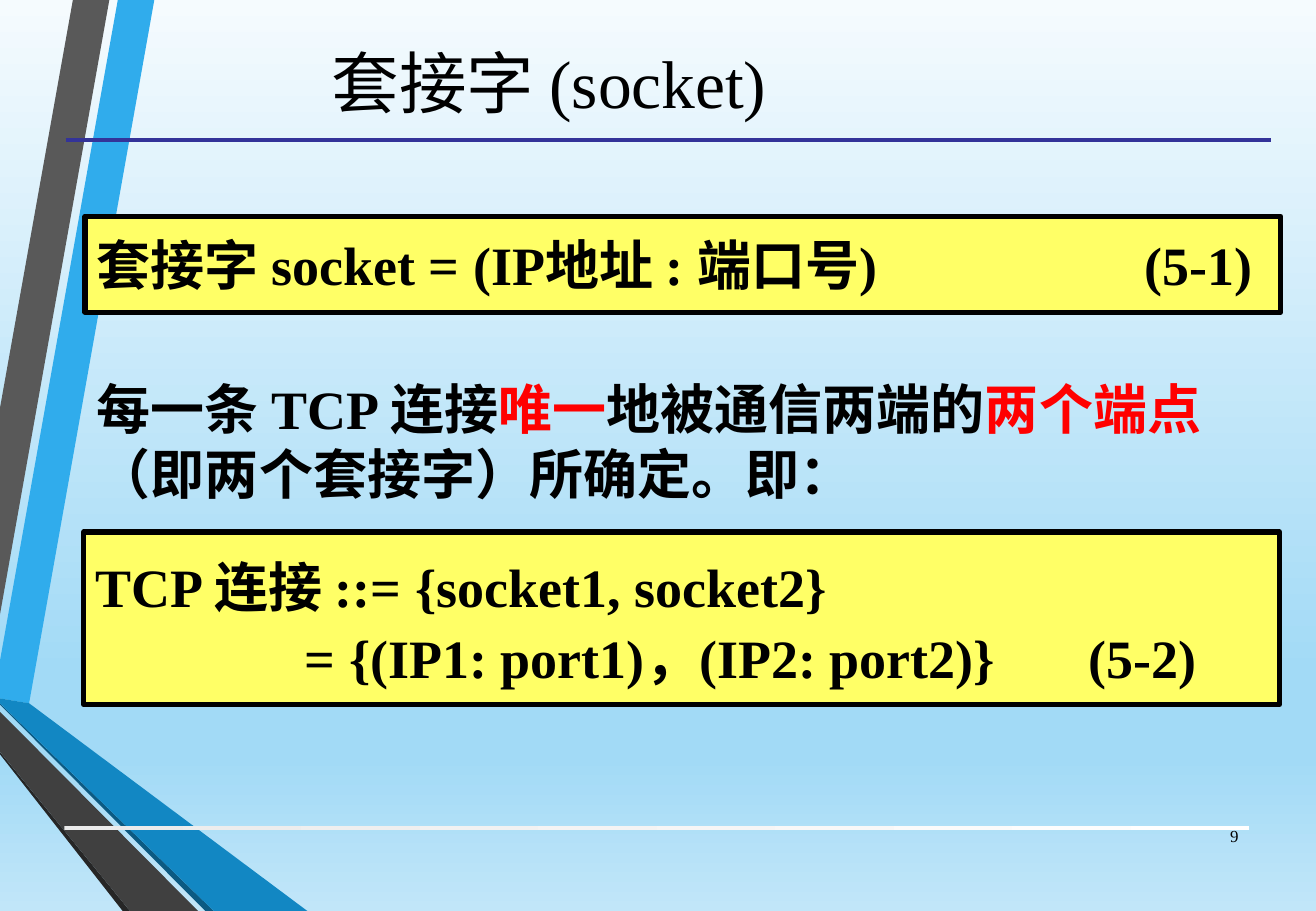
from dataclasses import dataclass

from lxml.etree import SubElement
from pptx import Presentation
from pptx.dml.color import RGBColor
from pptx.dml.fill import FillFormat
from pptx.enum.shapes import MSO_CONNECTOR, MSO_SHAPE
from pptx.enum.text import MSO_ANCHOR, PP_ALIGN
from pptx.oxml.ns import qn
from pptx.shapes.autoshape import Shape
from pptx.slide import Slide
from pptx.text.text import TextFrame
from pptx.util import Inches, Pt


@dataclass(frozen=True)
class Theme:
    font: str = "Times New Roman"
    title_size: int = 40
    body_size: int = 32
    number_size: int = 10
    ink: str = "000000"
    accent: str = "FF0000"
    formula: str = "FFFF66"
    rule: str = "333399"
    sky: tuple = ((0, "F5FBFE"), (74, "A2DAF6"), (83, "A2DAF6"), (100, "C1E6F9"))
    footer: tuple = ((0, "EBEBEB"), (100, "FFFFFF"))


@dataclass(frozen=True)
class Ribbon:
    color: str
    points: tuple[tuple[float, float], ...]


@dataclass(frozen=True)
class Span:
    text: str
    color: str


@dataclass(frozen=True)
class Formula:
    box: tuple[float, float, float, float]
    lines: tuple[str, ...]
    tabs: tuple[float, ...]
    spacing: float


THEME = Theme()

RIBBONS = (
    Ribbon("30ACEC", ((0, 5.44), (0, 5.75), (0.24, 5.79), (1.27, 0), (0.97, 0))),
    Ribbon("595959", ((0.9, 0), (0.6, 0), (0, 3.36), (0, 5.06))),
    Ribbon("262626", ((0, 6.19), (0, 6.21), (1.01, 7.5), (1.07, 7.5))),
    Ribbon("0C5A82", ((0, 5.79), (0, 5.8), (1.69, 7.5), (1.76, 7.5))),
    Ribbon("1287C3", ((0, 5.79), (1.76, 7.5), (2.53, 7.5), (0.24, 5.79), (0, 5.75))),
    Ribbon("404040", ((0, 6.19), (1.07, 7.5), (1.63, 7.5), (0, 5.86))),
)

FORMULAS = (
    Formula((0.69, 4.38, 9.84, 1.42),
            ("TCP 连接 ::= {socket1, socket2}",
             "\t= {(IP1: port1)，(IP2: port2)}\t(5-2)"),
            (1.72, 8.17), 1.1),
    Formula((0.7, 1.78, 9.84, 0.79),
            ("套接字 socket = (IP地址 : 端口号)\t(5-1)",), (8.62,), 1.0),
)

STATEMENT = (
    Span("每一条 TCP 连接", THEME.ink),
    Span("唯一", THEME.accent),
    Span("地被通信两端的", THEME.ink),
    Span("两个端点", THEME.accent),
    Span("（即两个套接字）所确定。即：", THEME.ink),
)


def paint_gradient(fill: FillFormat, owner, stops: tuple, angle: int) -> None:
    """Fill with the given colour stops at a counter-clockwise angle."""
    fill.gradient()
    fill.gradient_angle = angle
    stop_list = next(owner.iter(qn("a:gsLst")))
    for old_stop in list(stop_list):
        stop_list.remove(old_stop)
    for percent, color in stops:
        stop = SubElement(stop_list, qn("a:gs"), pos=str(percent * 1000))
        SubElement(stop, qn("a:srgbClr"), val=color)


def write(frame: TextFrame, lines: tuple[tuple[Span, ...], ...], *, size: int,
          bold: bool = False, align: PP_ALIGN = PP_ALIGN.LEFT,
          anchor: MSO_ANCHOR = MSO_ANCHOR.MIDDLE, spacing: float = 1.0,
          tabs: tuple[float, ...] = ()) -> None:
    """Write lines of coloured spans into a text frame."""
    frame.word_wrap = True
    frame.vertical_anchor = anchor
    for index, spans in enumerate(lines):
        paragraph = frame.add_paragraph() if index else frame.paragraphs[0]
        paragraph.alignment = align
        paragraph.line_spacing = spacing
        if tabs:
            tab_list = SubElement(paragraph._p.get_or_add_pPr(), qn("a:tabLst"))
            for position in tabs:
                SubElement(tab_list, qn("a:tab"), pos=str(Inches(position)), algn="l")
        for span in spans:
            run = paragraph.add_run()
            run.text = span.text
            run.font.name = THEME.font
            run.font.size = Pt(size)
            run.font.bold = bold
            run.font.color.rgb = RGBColor.from_string(span.color)


def add_text(slide: Slide, box: tuple, spans: tuple[Span, ...], **style) -> None:
    """Add a text box holding one paragraph."""
    write(slide.shapes.add_textbox(*map(Inches, box)).text_frame, (spans,), **style)


def add_ribbon(slide: Slide, ribbon: Ribbon) -> None:
    """Draw one folded ribbon outline."""
    start, *rest = [(Inches(x), Inches(y)) for x, y in ribbon.points]
    builder = slide.shapes.build_freeform(*start)
    builder.add_line_segments(rest, close=True)
    band = builder.convert_to_shape()
    band.shadow.inherit = False
    band.fill.solid()
    band.fill.fore_color.rgb = RGBColor.from_string(ribbon.color)
    band.line.fill.background()


def add_rectangle(slide: Slide, box: tuple) -> Shape:
    """Add a rectangle without a shadow."""
    rectangle = slide.shapes.add_shape(MSO_SHAPE.RECTANGLE, *map(Inches, box))
    rectangle.shadow.inherit = False
    return rectangle


def add_footer_bar(slide: Slide) -> None:
    """Draw the pale bar above the page number."""
    bar = add_rectangle(slide, (0.53, 6.8, 9.75, 0.03))
    paint_gradient(bar.fill, bar._element, THEME.footer, 0)
    bar.line.fill.background()


def add_title_rule(slide: Slide) -> None:
    """Draw the line under the title."""
    rule = slide.shapes.add_connector(
        MSO_CONNECTOR.STRAIGHT, *map(Inches, (0.54, 1.15, 10.46, 1.15)))
    rule.line.color.rgb = RGBColor.from_string(THEME.rule)
    rule.line.width = Pt(2.25)
    SubElement(rule._element.spPr, qn("a:effectLst"))


def add_formula(slide: Slide, formula: Formula) -> None:
    """Draw a framed formula with its number."""
    panel = add_rectangle(slide, formula.box)
    panel.fill.solid()
    panel.fill.fore_color.rgb = RGBColor.from_string(THEME.formula)
    panel.line.color.rgb = RGBColor.from_string(THEME.ink)
    panel.line.width = Pt(3)
    write(panel.text_frame, tuple((Span(line, THEME.ink),) for line in formula.lines),
          size=THEME.body_size, bold=True, spacing=formula.spacing, tabs=formula.tabs)


def main() -> None:
    """Build the socket slide and save it."""
    deck = Presentation()
    deck.slide_width, deck.slide_height = Inches(10.83), Inches(7.5)
    slide = deck.slides.add_slide(deck.slide_layouts[6])
    paint_gradient(slide.background.fill, slide._element, THEME.sky, 270)
    for ribbon in RIBBONS:
        add_ribbon(slide, ribbon)
    add_footer_bar(slide)
    add_title_rule(slide)
    add_text(slide, (0.43, 0.05, 8.18, 1.24), (Span("套接字 (socket)", THEME.ink),),
             size=THEME.title_size, align=PP_ALIGN.CENTER)
    for formula in FORMULAS:
        add_formula(slide, formula)
    add_text(slide, (0.7, 3.04, 9.6, 1.18), STATEMENT, size=THEME.body_size,
             bold=True, anchor=MSO_ANCHOR.TOP)
    add_text(slide, (9.78, 6.68, 0.51, 0.4), (Span("9", THEME.ink),),
             size=THEME.number_size, align=PP_ALIGN.RIGHT)
    deck.save("out.pptx")


if __name__ == "__main__":
    main()
